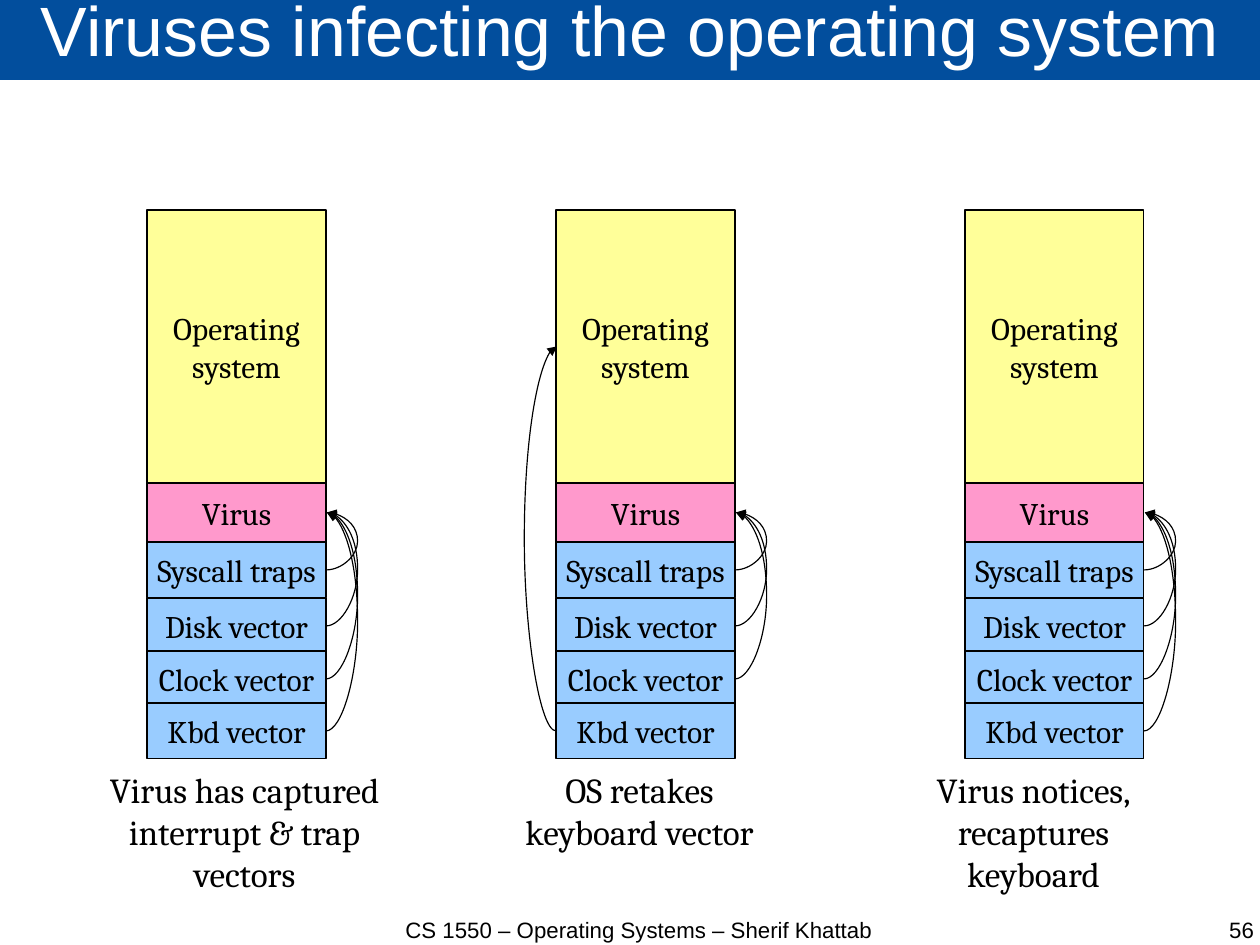
from dataclasses import dataclass

from lxml.etree import SubElement
from pptx import Presentation
from pptx.dml.color import RGBColor as Color
from pptx.enum.shapes import MSO_CONNECTOR as Connector
from pptx.enum.shapes import MSO_SHAPE as Shape
from pptx.enum.text import MSO_ANCHOR as Anchor
from pptx.enum.text import PP_ALIGN as Align
from pptx.oxml.ns import qn
from pptx.util import Emu, Pt


@dataclass(frozen=True)
class Theme:
    banner: str = "024E9D"
    system: str = "FFFF99"
    virus: str = "FF99CC"
    vector: str = "99CCFF"
    ink: str = "000000"
    paper: str = "FFFFFF"
    sans: str = "Arial"
    serif: str = "Cambria"
    title_size: float = 44
    block_size: float = 19.8
    caption_size: float = 22.1
    footer_size: float = 14
    line_width: float = 0.75


THEME = Theme()
EMU_PER_PX = 8000
FIRST_STACK_LEFT = 147
STACK_PITCH = 409
BLOCK_WIDTH = 179
CURVE_BULGE = 32
RIGHT_SITE, LEFT_SITE = 3, 1

BLOCKS = [
    ("Syscall traps", 542, 56, THEME.vector),
    ("Operating\vsystem", 210, 273, THEME.system),
    ("Virus", 483, 59, THEME.virus),
    ("Disk vector", 598, 56, THEME.vector),
    ("Clock vector", 651, 56, THEME.vector),
    ("Kbd vector", 703, 56, THEME.vector),
]
VECTORS = ["Kbd vector", "Clock vector", "Disk vector", "Syscall traps"]

STAGES = [
    (67, 355, "Virus has captured\vinterrupt & trap vectors", False),
    (511, 257, "OS retakes\vkeyboard vector", True),
    (879, 309, "Virus notices,\vrecaptures keyboard", False),
]


def px(length):
    return Emu(length * EMU_PER_PX)


def write(box, text, font, size, color, align=Align.CENTER):
    frame = box.text_frame
    frame.text = text
    para = frame.paragraphs[0]
    para.alignment = align
    para.font.name = font
    para.font.size = Pt(size)
    para.font.color.rgb = Color.from_string(color)
    return para


def clear_margins(frame):
    frame.margin_left = frame.margin_right = 0
    frame.margin_top = frame.margin_bottom = 0


def add_rectangle(page, left, top, width, height, fill):
    box = page.shapes.add_shape(
        Shape.RECTANGLE, px(left), px(top), px(width), px(height))
    box.shadow.inherit = False
    box.fill.solid()
    box.fill.fore_color.rgb = Color.from_string(fill)
    box.text_frame.vertical_anchor = Anchor.MIDDLE
    return box


def add_title(page, text):
    banner = add_rectangle(page, 0, -2, 1262, 82, THEME.banner)
    banner.line.fill.background()
    clear_margins(banner.text_frame)
    banner.text_frame.word_wrap = True
    para = write(banner, text, THEME.sans, THEME.title_size, THEME.paper)
    para.line_spacing = 0.69


def add_text(page, left, top, width, height):
    box = page.shapes.add_textbox(px(left), px(top), px(width), px(height))
    box.text_frame.word_wrap = True
    return box


def add_footer(page, left, width, text, align):
    box = add_text(page, left, 916, width, 63)
    clear_margins(box.text_frame)
    write(box, text, THEME.sans, THEME.footer_size, THEME.ink, align)


def add_block(page, left, top, height, text, fill):
    block = add_rectangle(page, left, top, BLOCK_WIDTH, height, fill)
    block.line.color.rgb = Color.from_string(THEME.ink)
    block.line.width = Pt(THEME.line_width)
    block.text_frame.word_wrap = False
    write(block, text, THEME.serif, THEME.block_size, THEME.ink)
    return block


def add_curve(page, source, target, site):
    on_right = site == RIGHT_SITE
    edge = source.left + source.width if on_right else source.left
    curve = page.shapes.add_connector(
        Connector.CURVE,
        edge, source.top + source.height // 2,
        edge, target.top + target.height // 2)
    curve.begin_connect(source, site)
    curve.end_connect(target, site)
    curve.width = px(1)
    curve.line.color.rgb = Color.from_string(THEME.ink)
    curve.line.width = Pt(THEME.line_width)

    properties = curve.element.spPr
    bulge = CURVE_BULGE if on_right else -CURVE_BULGE
    guides = properties.find(qn("a:prstGeom")).get_or_add_avLst()
    SubElement(guides, qn("a:gd"), name="adj1", fmla=f"val {bulge * 100000}")
    SubElement(properties.find(qn("a:ln")), qn("a:tailEnd"), type="triangle")
    SubElement(properties, qn("a:effectLst"))


def add_stage(page, left, caption_left, caption_width, caption, os_holds_keyboard):
    blocks = {
        name: add_block(page, left, top, height, name, fill)
        for name, top, height, fill in BLOCKS
    }
    for name in VECTORS:
        if os_holds_keyboard and name == "Kbd vector":
            add_curve(page, blocks[name], blocks["Operating\vsystem"], LEFT_SITE)
        else:
            add_curve(page, blocks[name], blocks["Virus"], RIGHT_SITE)
    box = add_text(page, caption_left, 763, caption_width, 96)
    write(box, caption, THEME.serif, THEME.caption_size, THEME.ink)


def main():
    deck = Presentation()
    deck.slide_width, deck.slide_height = px(1260), px(945)
    page = deck.slides.add_slide(deck.slide_layouts[6])
    add_title(page, "Viruses infecting the operating system")
    add_footer(page, 351, 576, "CS 1550 – Operating Systems – Sherif Khattab",
               Align.CENTER)
    add_footer(page, 965, 289, "56", Align.RIGHT)
    for index, stage in enumerate(STAGES):
        add_stage(page, FIRST_STACK_LEFT + index * STACK_PITCH, *stage)
    deck.save("out.pptx")


if __name__ == "__main__":
    main()
